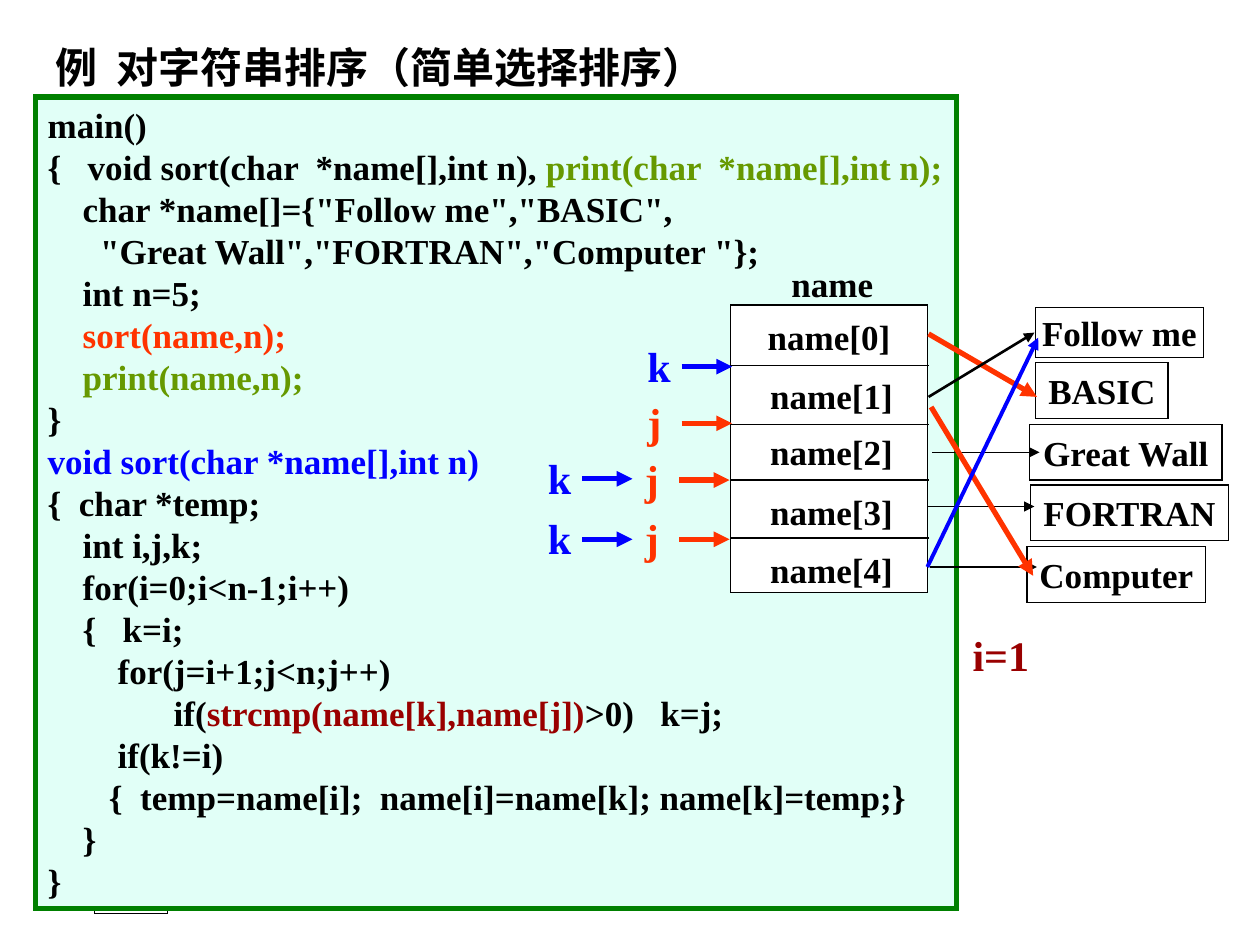
from lxml import etree
from pptx import Presentation
from pptx.dml.color import RGBColor
from pptx.enum.shapes import MSO_CONNECTOR, MSO_SHAPE
from pptx.enum.text import MSO_ANCHOR, PP_ALIGN
from pptx.oxml.ns import qn
from pptx.util import Inches, Pt

BLACK, WHITE, RED, BLUE = "000000", "FFFFFF", "FF3300", "0000FF"
OLIVE, MAROON, MINT, GREEN = "669900", "990000", "E1FFF7", "008000"
FONT = "Times New Roman"

TITLE = "例  对字符串排序（简单选择排序）"
# Each code line is a list of (text, colour) runs.
CODE = [
    [("main()", BLACK)],
    [("{   void sort(char  *name[],int n), ", BLACK),
     ("print(char  *name[],int n);", OLIVE)],
    [('    char *name[]={"Follow me","BASIC",', BLACK)],
    [('      "Great Wall","FORTRAN","Computer "};', BLACK)],
    [("    int n=5;", BLACK)],
    [("    sort(name,n);", RED)],
    [("    print(name,n);", OLIVE)],
    [("}", BLACK)],
    [("void sort(char *name[],int n)", BLUE)],
    [("{  char *temp;", BLACK)],
    [("    int i,j,k;", BLACK)],
    [("    for(i=0;i<n-1;i++)", BLACK)],
    [("    {   k=i;", BLACK)],
    [("        for(j=i+1;j<n;j++)", BLACK)],
    [("\tif(", BLACK), ("strcmp(name[k],name[j])", MAROON), (">0)   k=j;", BLACK)],
    [("        if(k!=i)", BLACK)],
    [("       {  temp=name[i];  name[i]=name[k]; name[k]=temp;}", BLACK)],
    [("    }", BLACK)],
    [("}", BLACK)],
]
ARRAY = (5.8, 2.42, 1.56, 2.28)
DIVIDERS = [2.9, 3.37, 3.81, 4.27]
CELLS = [("name[0]", 5.93, 2.45), ("name[1]", 5.95, 2.92), ("name[2]", 5.95, 3.36),
         ("name[3]", 5.95, 3.84), ("name[4]", 5.95, 4.3)]
CELL_WIDTH = 1.3
STRINGS = [("Great Wall", 8.17, 3.37, 1.53, 0.44), ("FORTRAN", 8.18, 3.85, 1.57, 0.44),
           ("Computer", 8.15, 4.34, 1.42, 0.44), ("Follow me", 8.22, 2.44, 1.33, 0.4),
           ("BASIC", 8.22, 2.88, 1.05, 0.44)]
UNCHANGED_LINKS = [(7.4, 3.59), (7.36, 4.02), (7.38, 4.5)]
LINK_LENGTH = 0.85
INDEX_MARKS = [("k", 5.04, 2.65, BLUE), ("k", 4.25, 3.54, BLUE), ("k", 4.25, 4.02, BLUE),
               ("j", 5.04, 3.1, RED), ("j", 5.02, 3.55, RED), ("j", 5.02, 4.02, RED)]
MARK_WIDTH = {"k": 0.38, "j": 0.31}
SWAPPED_LINKS = [(7.37, 2.65, 8.23, 3.15, RED, 3), (7.37, 3.15, 8.21, 2.64, BLACK, 1.5),
                 (7.39, 3.23, 8.2, 4.57, RED, 3), (7.36, 4.5, 8.24, 2.68, BLUE, 2.25)]


def rgb(value):
    return RGBColor.from_string(value)


def add_box(x, y, w, h, fill=None, line=BLACK, width=0.75, kind=MSO_SHAPE.RECTANGLE):
    s = shapes.add_shape(kind, Inches(x), Inches(y), Inches(w), Inches(h))
    s.shadow.inherit = False
    if fill:
        s.fill.solid()
        s.fill.fore_color.rgb = rgb(fill)
    else:
        s.fill.background()
    s.line.color.rgb = rgb(line)
    s.line.width = Pt(width)
    etree.SubElement(s.line._get_or_add_ln(), qn("a:miter"), lim="800000")
    return s


def write(s, lines, size, centred=False):
    """Fill a shape with lines, each a list of (text, colour) runs."""
    tf = s.text_frame
    tf.word_wrap = False
    tf.vertical_anchor = MSO_ANCHOR.MIDDLE if centred else MSO_ANCHOR.TOP
    for i, runs in enumerate(lines):
        p = tf.add_paragraph() if i else tf.paragraphs[0]
        p.alignment = PP_ALIGN.CENTER if centred else PP_ALIGN.LEFT
        if runs[0][0].startswith("\t"):
            tabs = etree.SubElement(p._p.get_or_add_pPr(), qn("a:tabLst"))
            etree.SubElement(tabs, qn("a:tab"), pos=str(Inches(1)), algn="l")
        p.font.name, p.font.size, p.font.bold = FONT, Pt(size), True
        for text, colour in runs:
            r = p.add_run()
            r.text = text
            r.font.color.rgb = rgb(colour)


def add_label(text, x, y, w, h, size, colour=BLACK, centred=False):
    s = shapes.add_textbox(Inches(x), Inches(y), Inches(w), Inches(h))
    write(s, [[(text, colour)]], size, centred)


def add_line(x1, y1, x2, y2, colour=BLACK, width=0.75, arrow=True):
    c = shapes.add_connector(MSO_CONNECTOR.STRAIGHT,
                             Inches(x1), Inches(y1), Inches(x2), Inches(y2))
    c.line.color.rgb = rgb(colour)
    c.line.width = Pt(width)
    if arrow:
        etree.SubElement(c.line._get_or_add_ln(), qn("a:tailEnd"), type="triangle")
    etree.SubElement(c._element.spPr, qn("a:effectLst"))


prs = Presentation()
prs.slide_width, prs.slide_height = Inches(10), Inches(7.5)
shapes = prs.slides.add_slide(prs.slide_layouts[6]).shapes

add_box(0.75, 6.5, 0.58, 0.75, WHITE, kind=MSO_SHAPE.ACTION_BUTTON_DOCUMENT)
add_label(TITLE, 0.34, 0.28, 5.35, 0.5, 24)
write(add_box(0.28, 0.77, 7.31, 6.44, MINT, GREEN, 3), CODE, 20)

add_box(*ARRAY, fill=WHITE)
for y in DIVIDERS:
    add_line(ARRAY[0], y, 7.37, y, arrow=False)
for text, x, y in CELLS:
    add_label(text, x, y, CELL_WIDTH, 0.44, 20, centred=True)
add_label("name", 6.18, 2.03, 0.85, 0.44, 20, centred=True)

for text, *place in STRINGS:
    write(add_box(*place), [[(text, BLACK)]], 20, centred=True)
for x, y in UNCHANGED_LINKS:
    add_line(x, y, x + LINK_LENGTH, y)

for text, x, y, colour in INDEX_MARKS:
    add_line(x + 0.37, y + 0.26, x + 0.77, y + 0.26, colour, 3)
    add_label(text, x, y, MARK_WIDTH[text], 0.5, 24, colour)
add_label("i=1", 7.62, 4.95, 0.65, 0.5, 24, MAROON)
for link in SWAPPED_LINKS:
    add_line(*link)

prs.save("out.pptx")
